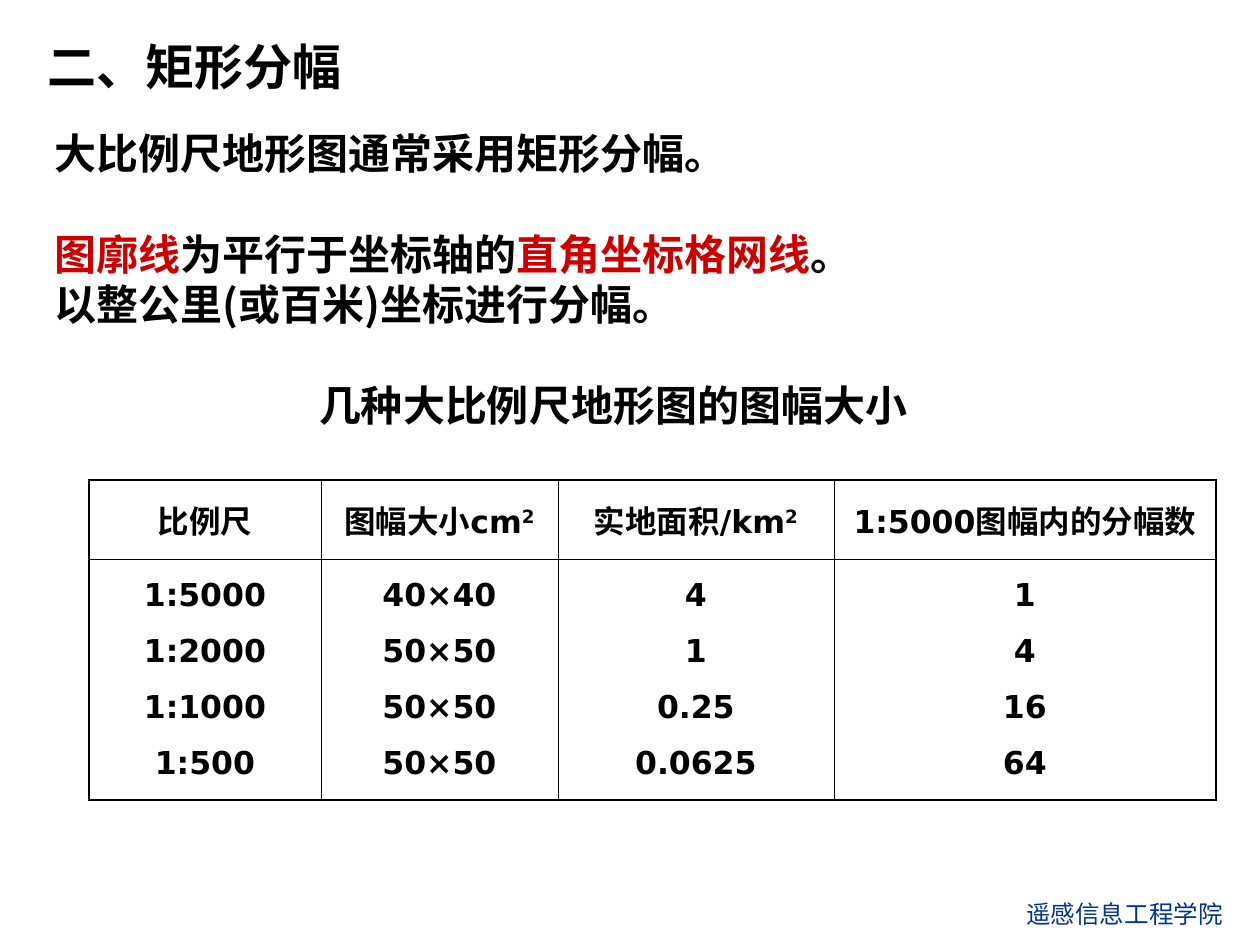
from typing import NamedTuple

from lxml.etree import SubElement
from pptx import Presentation
from pptx.dml.color import RGBColor
from pptx.enum.text import MSO_ANCHOR, PP_ALIGN
from pptx.oxml import parse_xml
from pptx.oxml.ns import nsdecls, qn
from pptx.util import Emu, Pt

PX = 914400 / 126
BLACK = RGBColor(0, 0, 0)
RED = RGBColor(0xCC, 0, 0)
BLUE = RGBColor(0, 0x33, 0x99)
SANS = "DejaVu Sans"
CJK = "Noto Sans CJK SC"
OUTER, INNER = Pt(1.08), Pt(0.45)


class Span(NamedTuple):
    text: str
    color: RGBColor | None = None
    superscript: bool = False


class Line(NamedTuple):
    spans: list[Span]
    before: float = 0
    align: PP_ALIGN = PP_ALIGN.LEFT


class TextBox(NamedTuple):
    left: int
    top: int
    width: int
    height: int
    lines: list[Line]
    size: int
    font: str = CJK
    color: RGBColor = BLACK
    bold: bool = True


def px(value: int) -> Emu:
    return Emu(round(value * PX))


def write_text(frame, lines: list[Line], *, size: int, font: str = SANS,
               color: RGBColor = BLACK, bold: bool = True) -> None:
    for index, line in enumerate(lines):
        para = frame.paragraphs[0] if index == 0 else frame.add_paragraph()
        para.alignment = line.align
        para.space_before = Pt(line.before)
        for part in line.spans:
            span = para.add_run()
            span.text = part.text
            span.font.size = Pt(size)
            span.font.bold = bold
            span.font.color.rgb = part.color or color
            span.font.name = font
            properties = span._r.get_or_add_rPr()
            SubElement(properties, qn("a:ea")).set("typeface", CJK)
            if part.superscript:
                properties.set("baseline", "30000")


def add_text_box(page, item: TextBox) -> None:
    box = page.shapes.add_textbox(px(item.left), px(item.top),
                                  px(item.width), px(item.height))
    box.text_frame.word_wrap = True
    write_text(box.text_frame, item.lines, size=item.size, font=item.font,
               color=item.color, bold=item.bold)


def set_borders(cell, widths: dict[str, int]) -> None:
    properties = cell._tc.get_or_add_tcPr()
    for index, (side, width) in enumerate(widths.items()):
        properties.insert(index, parse_xml(
            f'<a:ln{side} {nsdecls("a")} w="{width}"><a:solidFill>'
            f'<a:srgbClr val="{BLACK}"/></a:solidFill></a:ln{side}>'))


def add_size_table(page, left: int, top: int, widths: list[int],
                   heights: list[int], rows: list[list[list[Line]]]) -> None:
    table = page.shapes.add_table(len(rows), len(widths), px(left), px(top),
                                  px(sum(widths)), px(sum(heights))).table
    table.first_row = table.horz_banding = False
    for column, width in zip(table.columns, widths):
        column.width = px(width)
    for r, (height, cells) in enumerate(zip(heights, rows)):
        table.rows[r].height = px(height)
        for c, lines in enumerate(cells):
            cell = table.cell(r, c)
            cell.vertical_anchor = MSO_ANCHOR.MIDDLE
            cell.fill.background()
            write_text(cell.text_frame, lines, size=18)
            set_borders(cell, {
                "L": OUTER if c == 0 else INNER,
                "R": OUTER if c == len(widths) - 1 else INNER,
                "T": OUTER if r == 0 else INNER,
                "B": OUTER if r == len(rows) - 1 else INNER,
            })


# Text blocks: school name, title, body
TEXT_BOXES = [
    TextBox(1014, 893, 246, 43, [Line([Span("遥感信息工程学院")])], 14,
            font=SANS, color=BLUE, bold=False),
    TextBox(35, 30, 369, 72, [Line([Span("二、矩形分幅")])], 28),
    TextBox(42, 121, 1142, 315, [
        Line([Span("大比例尺地形图通常采用矩形分幅。")]),
        Line([Span("图廓线", RED), Span("为平行于坐标轴的"),
              Span("直角坐标格网线", RED), Span("。")], before=29),
        Line([Span("以整公里(或百米)坐标进行分幅。")]),
        Line([Span("几种大比例尺地形图的图幅大小")], before=29, align=PP_ALIGN.CENTER),
    ], 24),
]

# Table content: one heading and one stack of values per column
SQUARED = Span("2", superscript=True)
HEADINGS = [
    [Span("比例尺")],
    [Span("图幅大小cm"), SQUARED],
    [Span("实地面积/km"), SQUARED],
    [Span("1:5000图幅内的分幅数")],
]
VALUES = [
    ["1:5000", "1:2000", "1:1000", "1:500"],
    ["40×40", "50×50", "50×50", "50×50"],
    ["4", "1", "0.25", "0.0625"],
    ["1", "4", "16", "64"],
]


def main() -> None:
    deck = Presentation()
    deck.slide_width, deck.slide_height = px(1260), px(945)
    page = deck.slides.add_slide(deck.slide_layouts[6])

    for item in TEXT_BOXES:
        add_text_box(page, item)

    heading_cells = [[Line(spans, align=PP_ALIGN.CENTER)] for spans in HEADINGS]
    value_cells = [[Line([Span(value)], 11.2 if index else 0, PP_ALIGN.CENTER)
                    for index, value in enumerate(column)] for column in VALUES]
    add_size_table(page, 89, 480, [232, 237, 276, 382], [79, 241],
                   [heading_cells, value_cells])

    deck.save("out.pptx")


if __name__ == "__main__":
    main()
